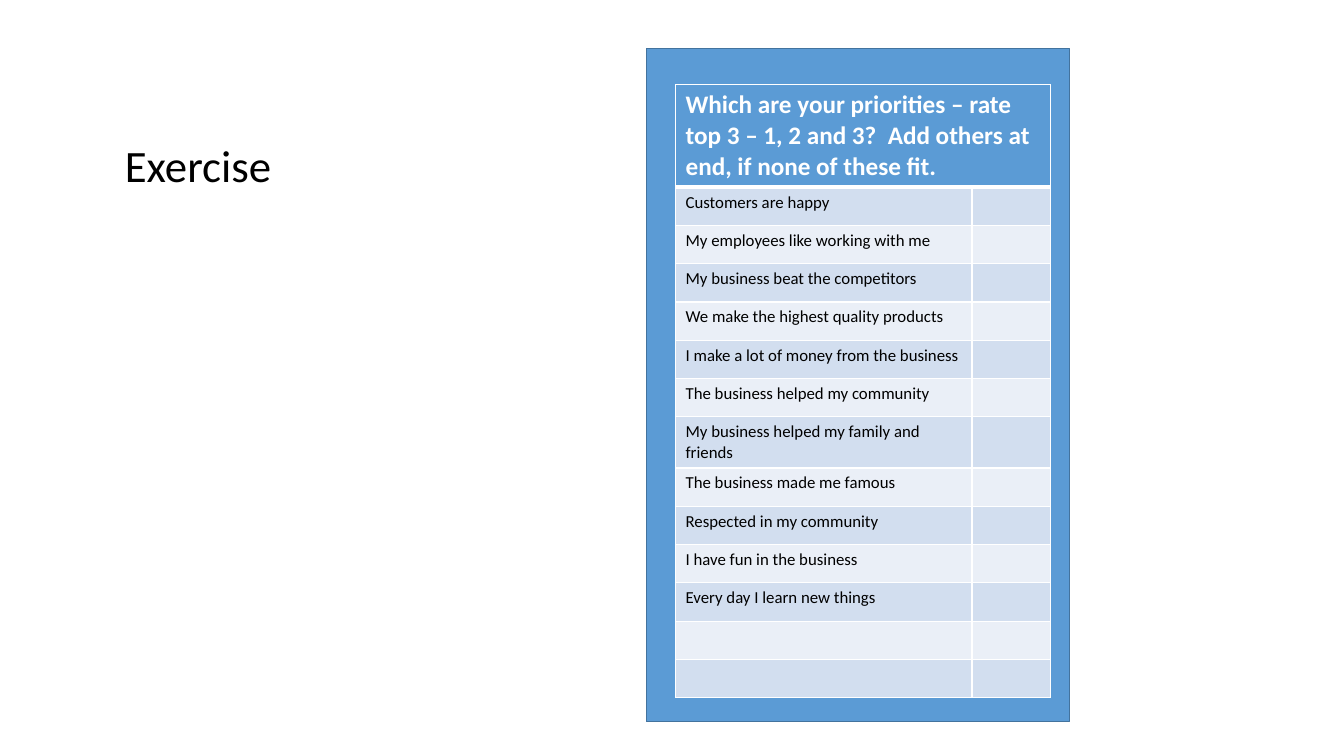
from lxml import etree
from pptx import Presentation
from pptx.dml.color import RGBColor
from pptx.enum.shapes import MSO_SHAPE
from pptx.enum.text import MSO_AUTO_SIZE
from pptx.oxml.ns import qn
from pptx.util import Inches, Pt

RECTANGLE = MSO_SHAPE.RECTANGLE
FIT_SHAPE = MSO_AUTO_SIZE.SHAPE_TO_FIT_TEXT

BLUE = RGBColor(0x5B, 0x9B, 0xD5)
DARK_BLUE = RGBColor(0x43, 0x73, 0x9E)
BANDS = (RGBColor(0xD2, 0xDE, 0xEF), RGBColor(0xEA, 0xEF, 0xF7))
WHITE = RGBColor(0xFF, 0xFF, 0xFF)
BLACK = RGBColor(0, 0, 0)

TITLE_FORMAT = {"name": "Calibri", "size": Pt(32)}
QUESTION_FORMAT = {"name": "Calibri", "size": Pt(18), "bold": True}
PRIORITY_FORMAT = {"name": "Calibri", "size": Pt(12), "bold": False}

QUESTION = ("Which are your priorities – rate top 3 – 1, 2 and 3?  "
            "Add others at end, if none of these fit.")
PRIORITIES = [
    "Customers are happy",
    "My employees like working with me",
    "My business beat the competitors",
    "We make the highest quality products",
    "I make a lot of money from the business",
    "The business helped my community",
    "My business helped my family and friends",
    "The business made me famous",
    "Respected in my community",
    "I have fun in the business",
    "Every day I learn new things",
]
OWN_PRIORITIES = 2  # blank rows to fill in
QUESTION_HEIGHT, ROW_HEIGHT, TWO_LINE_HEIGHT = 1.0, 0.38, 0.49
LONGEST_LINE = 39  # characters that fit on one line
RATING_WIDTH = 0.78


def write(paragraph, text, color, formats):
    run = paragraph.add_run()
    run.text = text
    run.font.color.rgb = color
    for attribute, value in formats.items():
        setattr(run.font, attribute, value)


def add_title(slide, left, top, width, height):
    title = slide.shapes.add_textbox(*map(Inches, (left, top, width, height)))
    title.text_frame.word_wrap = False
    title.text_frame.auto_size = FIT_SHAPE
    write(title.text_frame.paragraphs[0], "Exercise", BLACK, TITLE_FORMAT)


def style_cell(cell, fill, bottom=1):
    """Fill a cell and give it white borders."""
    cell.fill.solid()
    cell.fill.fore_color.rgb = fill
    properties = cell._tc.get_or_add_tcPr()
    for position, (side, points) in enumerate(
            {"L": 1, "R": 1, "T": 1, "B": bottom}.items()):
        border = etree.Element(qn(f"a:ln{side}"), w=str(Pt(points)))
        line_fill = etree.SubElement(border, qn("a:solidFill"))
        etree.SubElement(line_fill, qn("a:srgbClr"), val=str(WHITE))
        properties.insert(position, border)


def fill_priority_cell(cell, text, fill):
    style_cell(cell, fill)
    paragraph = cell.text_frame.paragraphs[0]
    if text:
        write(paragraph, text, BLACK, PRIORITY_FORMAT)
    else:
        # Keeps an empty row from growing to the default text size
        etree.SubElement(paragraph._p, qn("a:endParaRPr"), sz="1200")


def add_priorities(slide, left, top, width):
    priorities = PRIORITIES + [""] * OWN_PRIORITIES
    heights = [QUESTION_HEIGHT] + [
        TWO_LINE_HEIGHT if len(text) > LONGEST_LINE else ROW_HEIGHT
        for text in priorities]
    table = slide.shapes.add_table(
        len(heights), 2, Inches(left), Inches(top),
        Inches(width), Inches(sum(heights))).table
    table.columns[0].width = Inches(width - RATING_WIDTH)
    table.columns[1].width = Inches(RATING_WIDTH)
    for row, height in zip(table.rows, heights):
        row.height = Inches(height)

    # Question across both columns
    question = table.cell(0, 0)
    question.merge(table.cell(0, 1))
    for column in range(2):
        style_cell(table.cell(0, column), BLUE, bottom=3)
    write(question.text_frame.paragraphs[0], QUESTION, WHITE, QUESTION_FORMAT)

    # Priorities with an empty rating beside each
    for index, priority in enumerate(priorities):
        band = BANDS[index % 2]
        for column, text in enumerate((priority, "")):
            fill_priority_cell(table.cell(index + 1, column), text, band)


def add_questionnaire(slide, left, top, width, height):
    panel = slide.shapes.add_shape(
        RECTANGLE, *map(Inches, (left, top, width, height)))
    panel.shadow.inherit = False
    panel.fill.solid()
    panel.fill.fore_color.rgb = BLUE
    panel.line.color.rgb = DARK_BLUE
    panel.line.width = Pt(1)
    add_priorities(slide, left + 0.29, top + 0.36, width - 0.48)


def main():
    deck = Presentation()
    deck.slide_width, deck.slide_height = Inches(13.33), Inches(7.5)
    slide = deck.slides.add_slide(deck.slide_layouts[6])
    add_questionnaire(slide, 6.41, 0.48, 4.2, 6.68)
    add_title(slide, 1.14, 1.32, 1.67, 0.64)
    deck.save("out.pptx")


if __name__ == "__main__":
    main()
